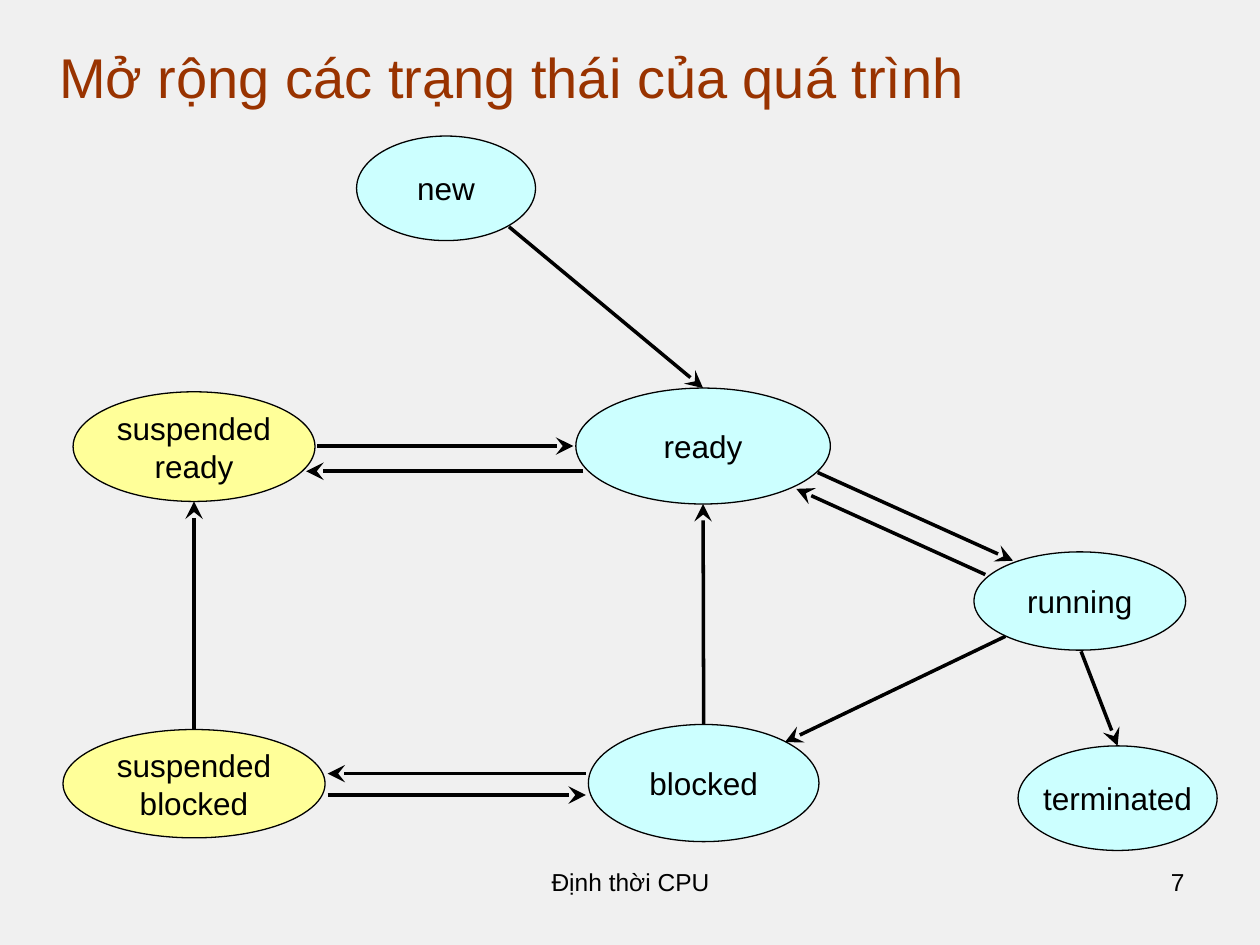
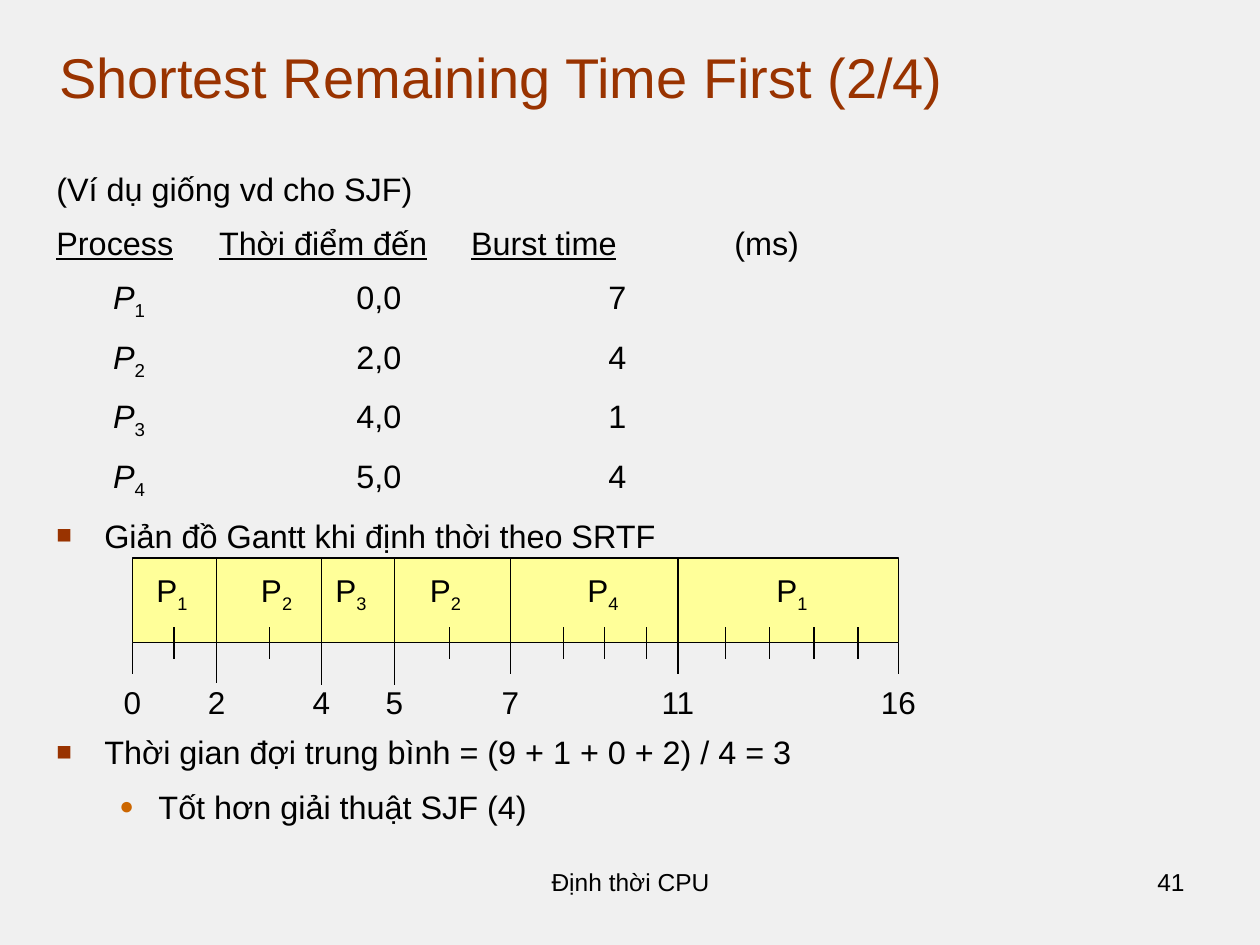
"""Build two CPU scheduling slides: process states and an SRTF example."""
import pptx
import pptx.util
import pptx.dml.color
import pptx.enum.shapes
import pptx.enum.text
import pptx.oxml
import pptx.oxml.ns

COLUMNS, ROWS = 100, 75
CELL = pptx.util.Inches(0.1)
COLORS = {
    "background": "F0F0F0", "title": "993300", "text": "000000", "line": "000000",
    "active": "CCFFFF", "suspended": "FFFF99", "square": "993300", "dot": "CC6600",
}
FONT = "Arial"
BODY_SIZE = 18.5
LABEL_SIZE = 18
BODY_GAP = 8.8
FOOTER = "Định thời CPU"
ALIGN = pptx.enum.text.PP_ALIGN
ANCHOR = pptx.enum.text.MSO_ANCHOR
SHAPE = pptx.enum.shapes.MSO_SHAPE
SUBSCRIPT = {"baseline": "-25000"}
UNDERLINE = {"underline": True}
ITALIC = {"italic": True}

STATES = {
    "new": (28.3, 10.8, 14.2, 8.3, "active"),
    "ready": (45.7, 30.8, 20.2, 9.2, "active"),
    "running": (77.3, 43.8, 16.8, 7.8, "active"),
    "blocked": (46.7, 57.5, 18.3, 9.3, "active"),
    "terminated": (80.8, 59.2, 15.8, 8.3, "active"),
    "suspended\nready": (5.8, 31.1, 19.2, 8.7, "suspended"),
    "suspended\nblocked": (5, 57.9, 20.8, 8.6, "suspended"),
}
TRANSITIONS = [
    ((40.4, 18), "ready"),
    ((85.8, 51.7), "terminated"),
    ("suspended\nblocked", (15.4, 39.8)),
    ("blocked", (55.8, 40)),
    ((79.8, 50.5), (62.3, 58.9)),
    ((46.3, 37.4), (24.3, 37.4)),
    ((25.2, 35.4), (45.5, 35.4)),
    ((64.9, 37.5), (80.4, 44.5)),
    ((78.2, 45.6), (63.2, 38.8)),
    ((46.5, 61.4), (26, 61.4)),
    ((26, 63.1), (46.5, 63.1)),
]

PROCESSES = [("1", "0,0", "7"), ("2", "2,0", "4"), ("3", "4,0", "1"), ("4", "5,0", "4")]
HEADER_TABS = (12.9, 32.9, 53.8)
PROCESS_TABS = (4.5, 23.8, 43.8)

BAR_LEFT, BAR_TOP, BAR_WIDTH, BAR_HEIGHT = 10.5, 44.3, 60.8, 6.7
BAR_BOTTOM = BAR_TOP + BAR_HEIGHT
TIME_MARKS = [
    ("0", 10.5, BAR_BOTTOM, 53.5), ("2", 17.2, BAR_TOP, 54.2), ("4", 25.5, BAR_TOP, 54.4),
    ("5", 31.3, BAR_TOP, 54.4), ("7", 40.5, BAR_TOP, 53.5), ("11", 53.8, BAR_TOP, 53.5),
    ("16", 71.3, BAR_BOTTOM, 53.5),
]
BURSTS = [("1", 13.65), ("2", 21.95), ("3", 27.85), ("2", 35.35), ("4", 47.85), ("1", 62.85)]
TICK_GROUPS = [(13.8, 0, 1), (21.4, 0, 1), (35.7, 0, 1), (44.7, 3.3, 3), (57.6, 3.5, 4)]
TICK_TOP, TICK_HEIGHT = 49.8, 2.5


def cells(*counts):
    """Turn grid counts into slide lengths."""
    return [round(count * CELL) for count in counts]


def rgb(name):
    """Look up a named colour."""
    return pptx.dml.color.RGBColor.from_string(COLORS[name])


def set_values(target, values):
    """Set each attribute named in a dict."""
    for name, value in values.items():
        setattr(target, name, value)


def append_element(parent, tag, **attributes):
    """Append one drawing element and return it."""
    element = pptx.oxml.parse_xml(f"<a:{tag} {pptx.oxml.ns.nsdecls('a')}/>")
    for name, value in attributes.items():
        element.set(name, str(value))
    parent.append(element)
    return element


def add_bullet(paragraph, character, color, percent, margin, hang):
    """Give a paragraph a coloured hanging bullet."""
    properties = paragraph._p.get_or_add_pPr()
    for name, count in (("marL", margin), ("indent", -hang)):
        properties.set(name, str(cells(count)[0]))
    color_element = append_element(properties, "buClr")
    append_element(color_element, "srgbClr", val=COLORS[color])
    append_element(properties, "buSzPct", val=percent * 1000)
    append_element(properties, "buFont", typeface=FONT)
    append_element(properties, "buChar", char=character)


def add_tabs(paragraph, stops):
    """Give a paragraph left tab stops."""
    tab_list = append_element(paragraph._p.get_or_add_pPr(), "tabLst")
    for stop in cells(*stops):
        append_element(tab_list, "tab", pos=stop, algn="l")


def fill_paragraph(paragraph, runs, size, color="text"):
    """Write (text, format) runs into a paragraph."""
    for text, style in runs:
        run = paragraph.add_run()
        run.text = text
        values = dict(style)
        baseline = values.pop("baseline", None)
        set_values(run.font, {"name": FONT, "size": pptx.util.Pt(size), **values})
        run.font.color.rgb = rgb(color)
        if baseline:
            run._r.get_or_add_rPr().set("baseline", baseline)


def next_paragraph(frame, gap):
    """Return the empty first paragraph, or a new one after a gap."""
    paragraph = frame.paragraphs[0]
    if paragraph.runs:
        paragraph = frame.add_paragraph()
        paragraph.space_before = pptx.util.Pt(gap)
    return paragraph


def add_text(slide, area, runs, size, color="text", align=ALIGN.LEFT, anchor=ANCHOR.TOP, wrap=True):
    """Add a text box holding one paragraph."""
    frame = slide.shapes.add_textbox(*cells(*area)).text_frame
    set_values(frame, {"word_wrap": wrap, "vertical_anchor": anchor})
    frame.paragraphs[0].alignment = align
    fill_paragraph(frame.paragraphs[0], runs, size, color)


def add_label(slide, middle, top, width, height, runs):
    """Add a centred label around a middle column."""
    add_text(slide, (middle - width / 2, top, width, height), runs, LABEL_SIZE,
             align=ALIGN.CENTER, anchor=ANCHOR.MIDDLE, wrap=False)


def add_body(slide, area):
    """Add an empty wrapping body box and return its text frame."""
    frame = slide.shapes.add_textbox(*cells(*area)).text_frame
    frame.word_wrap = True
    return frame


def add_filled_shape(slide, kind, area, color):
    """Add an outlined preset shape."""
    shape = slide.shapes.add_shape(kind, *cells(*area))
    shape.shadow.inherit = False
    shape.fill.solid()
    shape.fill.fore_color.rgb = rgb(color)
    shape.line.color.rgb = rgb("line")
    shape.line.width = pptx.util.Pt(0.75)
    return shape


def add_line(slide, start, end, width=0.75):
    """Add a straight connector without shadow."""
    line = slide.shapes.add_connector(
        pptx.enum.shapes.MSO_CONNECTOR.STRAIGHT, *cells(*start, *end))
    line.line.color.rgb = rgb("line")
    line.line.width = pptx.util.Pt(width)
    append_element(line._element.spPr, "effectLst")
    return line


def add_state(slide, name, left, top, width, height, color):
    """Add a process state ellipse."""
    shape = add_filled_shape(slide, SHAPE.OVAL, (left, top, width, height), color)
    frame = shape.text_frame
    set_values(frame, {"word_wrap": False, "vertical_anchor": ANCHOR.MIDDLE})
    for text in name.split("\n"):
        paragraph = next_paragraph(frame, 0)
        paragraph.alignment = ALIGN.CENTER
        fill_paragraph(paragraph, [(text, {})], LABEL_SIZE)
    return shape


def top_middle(end):
    """Return a point, or the top middle of a named state."""
    if end in STATES:
        left, top, width = STATES[end][:3]
        return left + width / 2, top
    return end


def add_transition(slide, shapes, start, end):
    """Add an arrow, joined to the top of each named state."""
    arrow = add_line(slide, top_middle(start), top_middle(end), 2)
    if start in shapes:
        arrow.begin_connect(shapes[start], 0)
    if end in shapes:
        arrow.end_connect(shapes[end], 0)
    append_element(arrow.line._get_or_add_ln(), "tailEnd", type="stealth", w="lg", len="lg")


def add_base_slide(presentation, title, number):
    """Add a slide with background, title and footer."""
    slide = presentation.slides.add_slide(presentation.slide_layouts[6])
    slide.background.fill.solid()
    slide.background.fill.fore_color.rgb = rgb("background")
    add_text(slide, (3.7, 2.5, 92.1, 6.7), [(title, {})], 32, "title", anchor=ANCHOR.BOTTOM)
    add_text(slide, (34.2, 68.3, 31.7, 5.2), [(FOOTER, {})], 14, align=ALIGN.CENTER)
    add_text(slide, (71.7, 68.3, 23.3, 5.2), [(number, {})], 14, align=ALIGN.RIGHT)
    return slide


def add_process_list(slide):
    """Add the arrival and burst times and the chart heading."""
    frame = add_body(slide, (3.5, 12.9, 92.3, 31.2))
    fill_paragraph(next_paragraph(frame, 0), [("(Ví dụ giống vd cho SJF)", {})], BODY_SIZE)
    header = [("Process", UNDERLINE), ("\t", {}), ("Thời điểm đến", UNDERLINE), ("\t", {}),
              ("Burst time", UNDERLINE), ("\t(ms)", {})]
    rows = [(header, HEADER_TABS)]
    for number, arrival, burst in PROCESSES:
        runs = [("\t", {}), ("P", ITALIC), (number, SUBSCRIPT), (f"\t{arrival}\t{burst}", {})]
        rows.append((runs, PROCESS_TABS))
    for runs, stops in rows:
        paragraph = next_paragraph(frame, BODY_GAP)
        add_tabs(paragraph, stops)
        fill_paragraph(paragraph, runs, BODY_SIZE)
    add_square_item(frame, "Giản đồ Gantt khi định thời theo SRTF")


def add_square_item(frame, text):
    """Add a first-level bullet item."""
    paragraph = next_paragraph(frame, BODY_GAP)
    add_bullet(paragraph, "■", "square", 80, 3.8, 3.8)
    fill_paragraph(paragraph, [(text, {})], BODY_SIZE)


def add_conclusion(slide):
    """Add the average waiting time and its comparison."""
    frame = add_body(slide, (3.5, 57.65, 92.3, 9.5))
    add_square_item(frame, "Thời gian đợi trung bình = (9 + 1 + 0 + 2) / 4 = 3")
    paragraph = next_paragraph(frame, BODY_GAP)
    add_bullet(paragraph, "●", "dot", 75, 8.1, 3.1)
    fill_paragraph(paragraph, [("Tốt hơn giải thuật SJF (4)", {})], BODY_SIZE)


def add_gantt(slide):
    """Add the schedule bar with bursts, time marks and unit ticks."""
    add_filled_shape(slide, SHAPE.RECTANGLE,
                     (BAR_LEFT, BAR_TOP, BAR_WIDTH, BAR_HEIGHT), "suspended")
    for number, middle in BURSTS:
        add_label(slide, middle, 44.8, 4.5, 4.4, [("P", {}), (number, SUBSCRIPT)])
    for time, column, top, bottom in TIME_MARKS:
        add_line(slide, (column, top), (column, bottom))
        add_label(slide, column, 53.7, 2 + 1.4 * len(time), 4, [(time, {})])
    for first, step, count in TICK_GROUPS:
        for index in range(count):
            column = first + index * step
            add_line(slide, (column, TICK_TOP), (column, TICK_TOP + TICK_HEIGHT))


def main():
    """Build and save both slides."""
    presentation = pptx.Presentation()
    width, height = cells(COLUMNS, ROWS)
    set_values(presentation, {"slide_width": width, "slide_height": height})

    states_slide = add_base_slide(presentation, "Mở rộng các trạng thái của quá trình", "7")
    shapes = {name: add_state(states_slide, name, *values) for name, values in STATES.items()}
    for start, end in TRANSITIONS:
        add_transition(states_slide, shapes, start, end)

    schedule_slide = add_base_slide(presentation, "Shortest Remaining Time First (2/4)", "41")
    add_process_list(schedule_slide)
    add_gantt(schedule_slide)
    add_conclusion(schedule_slide)
    presentation.save("out.pptx")


if __name__ == "__main__":
    main()
